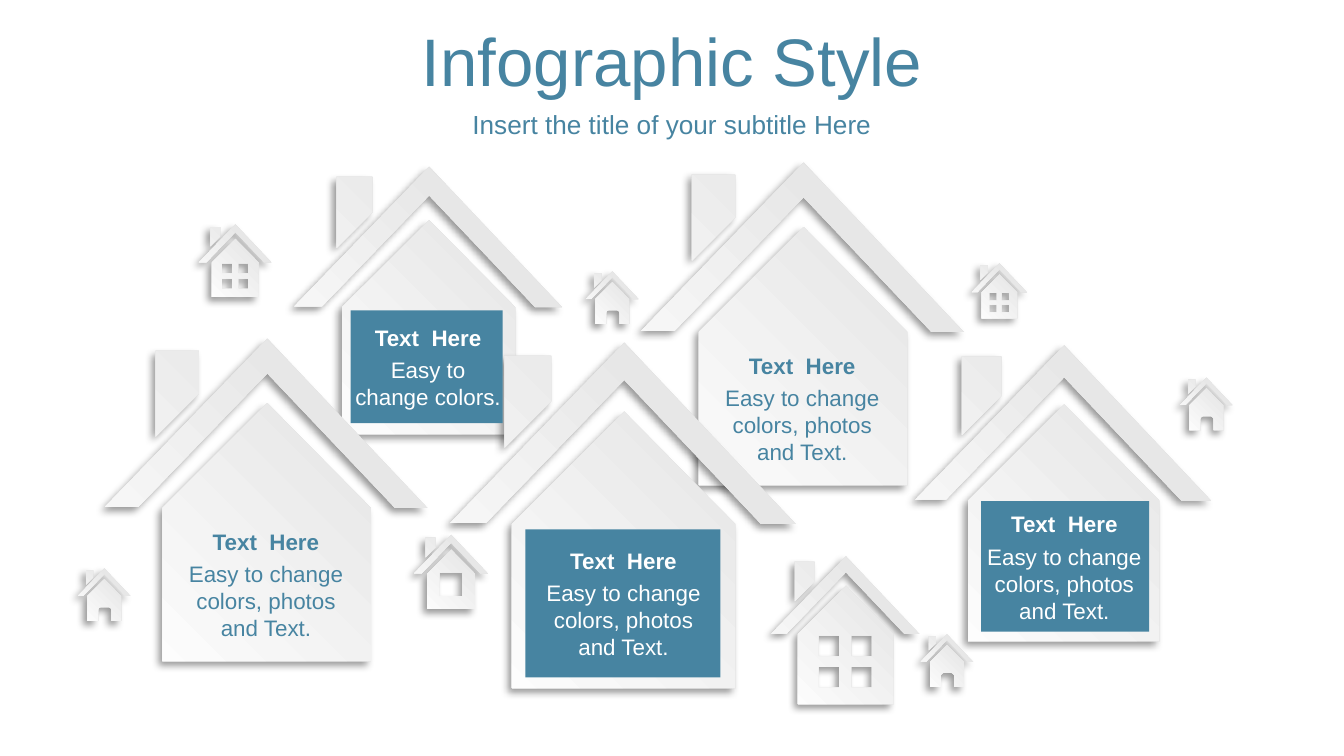
from math import cos, radians, sin

from lxml import etree
from pptx import Presentation
from pptx.dml.color import RGBColor
from pptx.enum.shapes import MSO_SHAPE
from pptx.enum.text import MSO_ANCHOR, MSO_AUTO_SIZE, PP_ALIGN
from pptx.oxml.ns import qn
from pptx.util import Inches, Pt

BLUE, WHITE = "4784A1", "FFFFFF"
LONG_TEXT = "Easy to change colors, photos and Text."
SHORT_TEXT = "Easy to change colors."

CHIMNEY = [(158, 38), (292, 38), (292, 170), (158, 304)]
ROOF_RIGHT = [(504, 0), (1000, 525), (900, 525), (504, 108)]
ROOF_LEFT = [(504, 0), (504, 108), (104, 522), (0, 522)]
BODY_TOP = [(179, 525), (504, 200), (825, 525)]

HOUSES = [
    (2.19, 1.24, 1.99, None),
    (4.77, 1.21, 2.4, None),
    (3.35, 2.55, 2.57, None),
    (5.74, 4.14, 1.1, "panes"),
    (6.81, 2.57, 2.2, None),
    (3.08, 3.98, 0.55, "window"),
    (4.36, 2.02, 0.39, "door"),
    (6.85, 4.72, 0.39, "door"),
    (0.78, 2.52, 2.4, None),
    (8.78, 2.81, 0.39, "door"),
    (0.58, 4.23, 0.39, "door"),
    (7.23, 1.96, 0.41, "panes"),
    (1.48, 1.67, 0.54, "panes"),
]
PANELS = [(2.61, 2.31, 1.13, 0.84), (3.91, 3.94, 1.45, 1.1), (7.3, 3.73, 1.25, 0.97)]
CAPTIONS = [
    (3.89, 4.02, 1.5, 0.71, LONG_TEXT, WHITE),
    (5.22, 2.57, 1.5, 0.71, LONG_TEXT, BLUE),
    (7.17, 3.75, 1.5, 0.71, LONG_TEXT, WHITE),
    (1.23, 3.88, 1.5, 0.71, LONG_TEXT, BLUE),
    (2.54, 2.36, 1.29, 0.5, SHORT_TEXT, WHITE),
]


def rgb(color):
    """Turn a hex string into a color."""
    return RGBColor.from_string(color)


def rectangle(left, top, right, bottom):
    """Return the corners of a rectangle."""
    return [(left, top), (left, bottom), (right, bottom), (right, top)]


def door():
    """Return a door outline with rounded top corners, from right to left."""
    left, right, top, radius = 385, 640, 735, 60
    arc = [(radius * cos(radians(a)), radius * sin(radians(a))) for a in range(0, 91, 15)]
    right_arc = [(right - radius + x, top + radius - y) for x, y in arc]
    left_arc = [(left + radius - x, top + radius - y) for x, y in reversed(arc)]
    return [(right, 1000), *right_arc, *left_arc, (left, 1000)]


def house_outlines(opening):
    """Return the contours of a house, in thousandths of its size."""
    threshold = door() if opening == "door" else []
    body = [*BODY_TOP, (825, 1000), *threshold, (179, 1000)]
    holes = []
    if opening == "window":
        holes = [rectangle(345, 510, 655, 830)]
    elif opening == "panes":
        holes = [rectangle(x, y, x + 140, y + 140) for y in (536, 748) for x in (318, 540)]
    return [*holes, body, CHIMNEY, ROOF_RIGHT, ROOF_LEFT]


def add_shadow(shape):
    """Give a shape a soft shadow to the lower left."""
    shape.shadow.inherit = False
    effects = shape._element.spPr.find(qn("a:effectLst"))
    shadow = etree.SubElement(effects, qn("a:outerShdw"), blurRad=str(Pt(4)), dist=str(Pt(3)),
                              dir="8100000", algn="tr", rotWithShape="0")
    color = etree.SubElement(shadow, qn("a:srgbClr"), val="000000")
    etree.SubElement(color, qn("a:alpha"), val="40000")


def add_house(s, left, top, size, opening):
    """Draw a house as one freeform with a gradient."""
    outlines = house_outlines(opening)
    builder = s.shapes.build_freeform(*outlines[0][0], scale=Inches(size) / 1000)
    for i, points in enumerate(outlines):
        if i:
            builder.move_to(*points[0])
        builder.add_line_segments(points[1:], close=True)
    sp = builder.convert_to_shape(Inches(left), Inches(top))
    sp.fill.gradient()
    sp.fill.gradient_angle = 225
    for stop, color, position in zip(sp.fill.gradient_stops, ("DEDEDE", WHITE), (0, 1)):
        stop.color.rgb = rgb(color)
        stop.position = position
    sp.line.fill.background()
    add_shadow(sp)


def add_panel(s, left, top, width, height):
    """Draw a plain colored panel."""
    sp = s.shapes.add_shape(MSO_SHAPE.RECTANGLE, Inches(left), Inches(top),
                            Inches(width), Inches(height))
    sp.shadow.inherit = False
    sp.fill.solid()
    sp.fill.fore_color.rgb = rgb(BLUE)
    sp.line.fill.background()


def write(sp, text, size, color, bold=False):
    """Set centered text in a shape and return its text frame."""
    tf = sp.text_frame
    tf.text = text
    tf.word_wrap = True
    p = tf.paragraphs[0]
    p.alignment = PP_ALIGN.CENTER
    font = p.runs[0].font
    font.name, font.size, font.bold = "Arial", Pt(size), bold
    font.color.rgb = rgb(color)
    return tf


def add_text(shapes, left, top, width, height, text, size, color, bold=False):
    """Add a text box and return its text frame."""
    sp = shapes.add_textbox(Inches(left), Inches(top), Inches(width), Inches(height))
    return write(sp, text, size, color, bold)


def add_caption(s, left, top, width, height, text, color):
    """Add a grouped heading and body text."""
    shapes = s.shapes.add_group_shape().shapes
    body = add_text(shapes, left, top + 0.24, width, height, text, 12, color)
    heading = add_text(shapes, left, top, width, 0.3, "Text  Here", 12, color, True)
    for tf in (body, heading):
        tf.auto_size = MSO_AUTO_SIZE.SHAPE_TO_FIT_TEXT


def add_titles(s):
    """Set the title and the subtitle."""
    title = s.shapes.title
    title.left, title.top, title.width, title.height = (
        Inches(0), Inches(0.13), Inches(10), Inches(0.63))
    tf = write(title, "Infographic Style", 36, BLUE)
    tf.auto_size = MSO_AUTO_SIZE.NONE
    tf.vertical_anchor = MSO_ANCHOR.MIDDLE
    tf = add_text(s.shapes, 0, 0.77, 10, 0.31, "Insert the title of your subtitle Here", 14, BLUE)
    tf.vertical_anchor = MSO_ANCHOR.MIDDLE


def main():
    """Build the slide and save it."""
    prs = Presentation()
    prs.slide_width, prs.slide_height = Inches(10), Inches(10 * 9 / 16)
    s = prs.slides.add_slide(prs.slide_layouts[5])
    add_titles(s)
    for house in HOUSES:
        add_house(s, *house)
    for panel in PANELS:
        add_panel(s, *panel)
    for caption in CAPTIONS:
        add_caption(s, *caption)
    prs.save("out.pptx")


if __name__ == "__main__":
    main()
